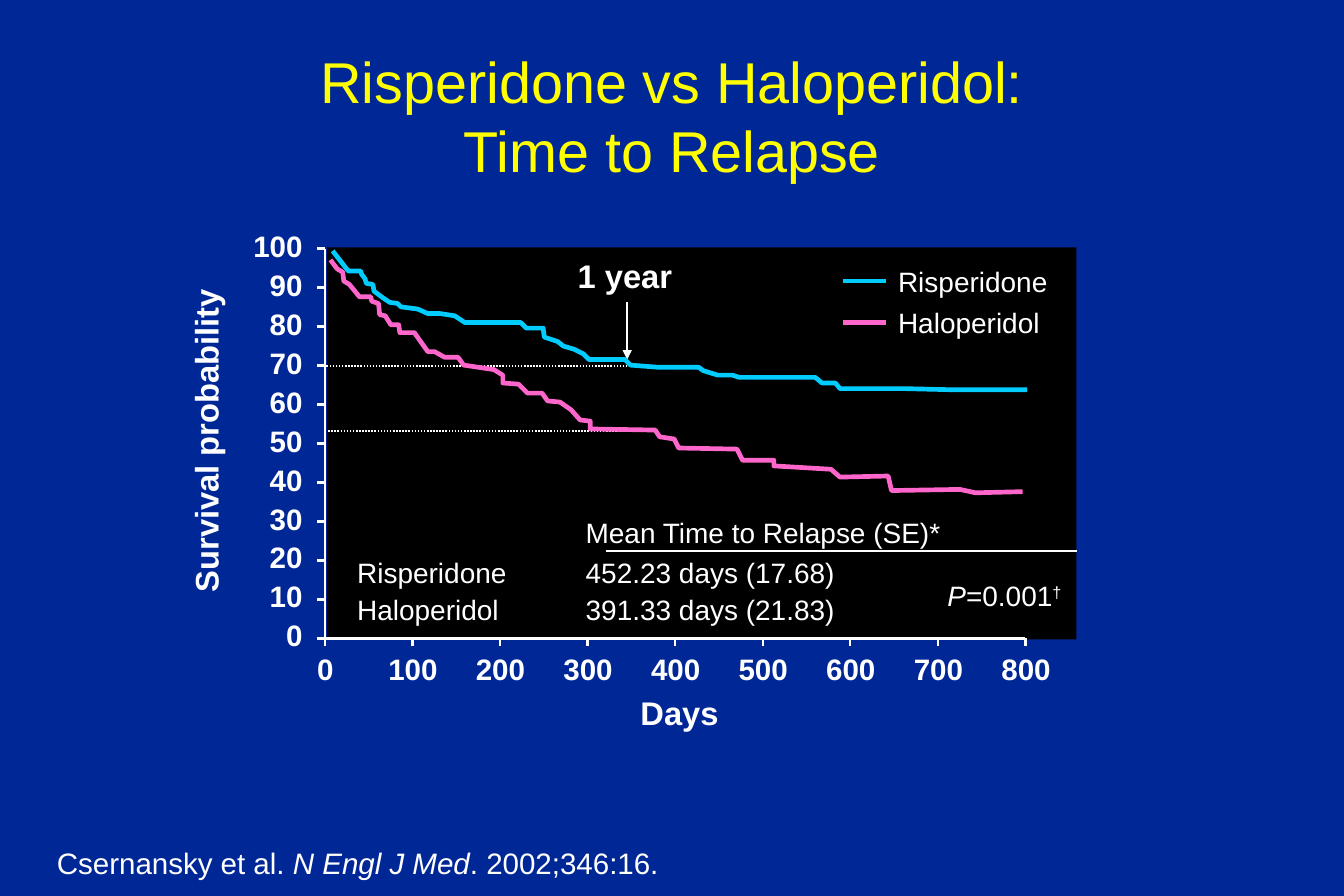
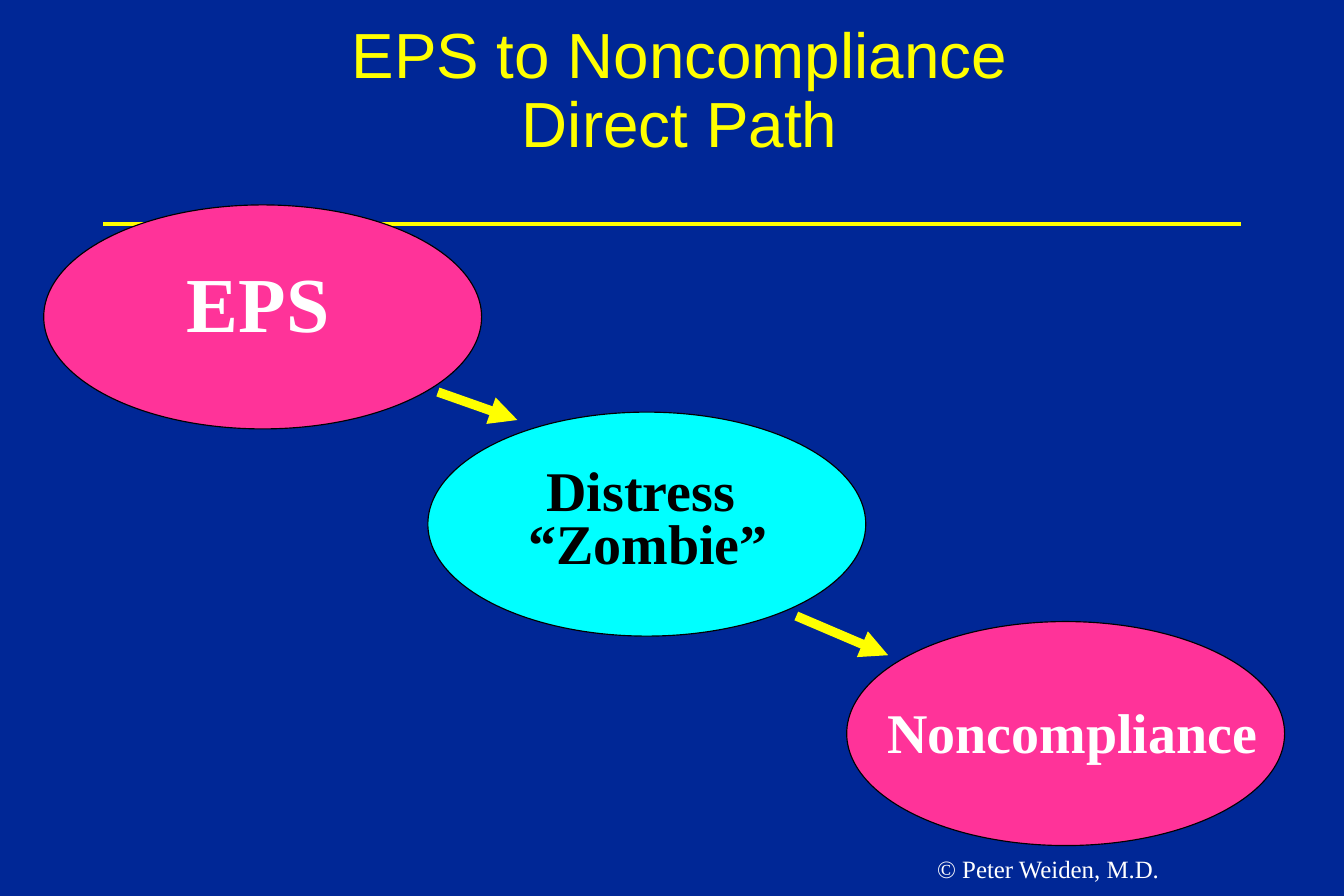
from lxml.etree import SubElement
from pptx import Presentation
from pptx.dml.color import RGBColor as RGB
from pptx.enum.dml import MSO_LINE
from pptx.enum.shapes import MSO_CONNECTOR, MSO_SHAPE
from pptx.enum.text import MSO_ANCHOR as ANCHOR, PP_ALIGN as ALIGN
from pptx.oxml.ns import qn
from pptx.util import Inches, Pt


class Theme:
    navy, black, white = (RGB.from_string(h) for h in ("002796", "000000", "FFFFFF"))
    yellow, pink, cyan = (RGB.from_string(h) for h in ("FFFF00", "FF3399", "00FFFF"))
    blue_curve, pink_curve = RGB.from_string("00CCFF"), RGB.from_string("FF66CC")
    sans, serif = "Arial", "Times New Roman"
    title, wide_title, axis, tick, body = 37, 41, 21, 19, 18
    big, node, credit = 50, 36, 16


prs = Presentation()
prs.slide_width, prs.slide_height = Inches(12), Inches(8)
COL, ROW = prs.slide_width // 12, prs.slide_height // 8
BLANK = prs.slide_layouts[6]
bg = prs.slide_master.background.fill
bg.solid()
bg.fore_color.rgb = Theme.navy


def add_text(s, box, text, size, color=Theme.white, face=Theme.sans, bold=False,
             align=ALIGN.LEFT, spacing=1.0, anchor=ANCHOR.TOP, wrap=True, tab=None):
    x, y, w, h = box
    sp = s.shapes.add_textbox(int(x * COL), int(y * ROW), int(w * COL), int(h * ROW))
    tf = sp.text_frame
    tf.word_wrap, tf.vertical_anchor = wrap, anchor
    tf.text = text
    for p in tf.paragraphs:
        if tab:
            stops = SubElement(p._p.get_or_add_pPr(), qn("a:tabLst"))
            SubElement(stops, qn("a:tab"), pos=str(int(tab * COL)), algn="l")
        p.alignment, p.line_spacing = align, spacing
        p.font.name, p.font.size, p.font.bold = face, Pt(size), bold
        p.font.color.rgb = color
    return sp


def add_line(s, start, end, color=Theme.white, width=1.0, dash=None, arrow=False):
    (x1, y1), (x2, y2) = start, end
    c = s.shapes.add_connector(MSO_CONNECTOR.STRAIGHT, int(x1 * COL), int(y1 * ROW),
                               int(x2 * COL), int(y2 * ROW))
    c.line.color.rgb, c.line.width = color, Pt(width)
    if dash:
        c.line.dash_style = dash
    if arrow:
        SubElement(c.line._get_or_add_ln(), qn("a:tailEnd"), type="triangle")
    SubElement(c._element.spPr, qn("a:effectLst"))


s = prs.slides.add_slide(BLANK)
plot = s.shapes.add_shape(MSO_SHAPE.RECTANGLE, int(2.92 * COL), int(2.21 * ROW),
                          int(6.69 * COL), int(3.5 * ROW))
plot.shadow.inherit = False
plot.fill.solid()
plot.fill.fore_color.rgb = Theme.black
plot.line.fill.background()

add_text(s, (0, 0.36, 12, 1.33), "Risperidone vs Haloperidol:\vTime to Relapse",
         Theme.title, Theme.yellow, align=ALIGN.CENTER, anchor=ANCHOR.MIDDLE)

X0, Y0, DX, DY, TICK = 2.9, 5.7, 0.782, 0.348, 0.07
XMAX, YMAX = X0 + 8 * DX, Y0 - 10 * DY
add_line(s, (X0, YMAX), (X0, Y0 + TICK), width=1.5)
add_line(s, (X0 - TICK, Y0), (XMAX, Y0), width=1.5)
for i in range(11):
    y = Y0 - i * DY
    if i:
        add_line(s, (X0 - TICK, y), (X0, y), width=1.5)
    add_text(s, (2.16, y - 0.15, 0.64, 0.32), str(10 * i), Theme.tick, bold=True,
             align=ALIGN.RIGHT, spacing=0.7, wrap=False)
for i in range(9):
    x = X0 + i * DX
    if i:
        add_line(s, (x, Y0), (x, Y0 + TICK), width=1.5)
    add_text(s, (x - 0.51, 5.76, 1.03, 0.42), str(100 * i), Theme.tick, bold=True,
             align=ALIGN.CENTER)
add_text(s, (-0.16, 3.78, 4.1, 0.31), "Survival probability", Theme.axis, bold=True,
         align=ALIGN.CENTER, spacing=0.6).rotation = 270
add_text(s, (5.62, 6.14, 0.9, 0.45), "Days", Theme.axis, bold=True, wrap=False)

add_line(s, (5.7, 3.85), (2.93, 3.85), dash=MSO_LINE.ROUND_DOT)
add_line(s, (5.74, 3.27), (X0, 3.27), dash=MSO_LINE.ROUND_DOT)
add_line(s, (5.6, 2.7), (5.6, 3.21), arrow=True)
add_text(s, (5.01, 2.3, 1.14, 0.39), "1 year", Theme.axis, bold=True,
         align=ALIGN.CENTER, spacing=0.8, wrap=False)

risperidone = [
    (2.97, 2.24), (3.11, 2.42), (3.22, 2.42), (3.23, 2.45), (3.26, 2.49), (3.27, 2.53),
    (3.33, 2.54), (3.34, 2.6), (3.42, 2.66), (3.48, 2.7), (3.55, 2.71), (3.58, 2.74),
    (3.73, 2.76), (3.82, 2.8), (3.93, 2.8), (4.06, 2.82), (4.15, 2.88), (4.65, 2.88),
    (4.7, 2.93), (4.85, 2.93), (4.86, 3.01), (4.98, 3.05), (5.03, 3.09), (5.13, 3.12),
    (5.21, 3.16), (5.26, 3.21), (5.58, 3.21), (5.63, 3.26), (5.88, 3.28), (6.24, 3.28),
    (6.28, 3.31), (6.41, 3.35), (6.54, 3.35), (6.6, 3.37), (7.28, 3.37), (7.34, 3.42),
    (7.46, 3.42), (7.5, 3.47), (8.07, 3.47), (8.5, 3.48), (9.17, 3.48)]
haloperidol = [
    (2.95, 2.32), (3.01, 2.4), (3.06, 2.43), (3.07, 2.51), (3.12, 2.54), (3.21, 2.65),
    (3.31, 2.65), (3.32, 2.69), (3.38, 2.71), (3.39, 2.81), (3.44, 2.82), (3.49, 2.9),
    (3.56, 2.9), (3.57, 2.97), (3.7, 2.97), (3.82, 3.14), (3.88, 3.14), (3.97, 3.19),
    (4.09, 3.19), (4.14, 3.26), (4.41, 3.3), (4.49, 3.35), (4.49, 3.42), (4.63, 3.43),
    (4.71, 3.51), (4.84, 3.51), (4.89, 3.58), (5, 3.59), (5.1, 3.66), (5.18, 3.75),
    (5.27, 3.76), (5.27, 3.83), (5.85, 3.84), (5.89, 3.9), (6.02, 3.92), (6.06, 4),
    (6.58, 4.01), (6.63, 4.11), (6.91, 4.11), (6.91, 4.16), (7.42, 4.19), (7.5, 4.26),
    (7.93, 4.25), (7.96, 4.38), (8.57, 4.37), (8.71, 4.4), (9.13, 4.39)]
curves = [("Risperidone", risperidone, Theme.blue_curve),
          ("Haloperidol", haloperidol, Theme.pink_curve)]
for i, (name, points, color) in enumerate(curves):
    pts = [(int(x * COL), int(y * ROW)) for x, y in points]
    fb = s.shapes.build_freeform(*pts[0])
    fb.add_line_segments(pts[1:], close=False)
    curve = fb.convert_to_shape()
    curve.shadow.inherit = False
    curve.fill.background()
    curve.line.color.rgb, curve.line.width = color, Pt(3)
    y = 2.51 + i * 0.37
    add_line(s, (7.53, y), (7.91, y), color, 3)
    add_text(s, (7.92, y - 0.2, 1.54, 0.4), name, Theme.body, wrap=False)

results = add_text(s, (3.09, 4.55, 7.32, 1.08),
                   "\tMean Time to Relapse (SE)*\n"
                   "Risperidone\t452.23 days (17.68)\n"
                   "Haloperidol\t391.33 days (21.83)", Theme.body, tab=2.04)
for p in results.text_frame.paragraphs[1:]:
    p.line_spacing, p.space_before = 0.5, Pt(13.5)
add_line(s, (5.41, 4.92), (9.62, 4.92))

p = add_text(s, (8.36, 5.12, 1.22, 0.4), "P", Theme.body,
             wrap=False).text_frame.paragraphs[0]
p.runs[0].font.italic = True
p.add_run().text = "=0.001"
r = p.add_run()
r.text = "†"
r._r.get_or_add_rPr().set("baseline", "30000")

p = add_text(s, (0.41, 6.9, 11.27, 1.01), "Csernansky et al. ", Theme.tick,
             spacing=0.8, anchor=ANCHOR.BOTTOM).text_frame.paragraphs[0]
r = p.add_run()
r.text, r.font.italic = "N Engl J Med", True
p.add_run().text = ". 2002;346:16."

s = prs.slides.add_slide(BLANK)
add_line(s, (0.92, 2), (11.08, 2), Theme.yellow, 3)
nodes = [
    ((0.39, 1.83), Theme.pink, (1.41, 2.39, 1.79, 0.78), "EPS", Theme.big, Theme.white),
    ((3.82, 3.68), Theme.cyan, (4.31, 4.13, 2.95, 1.07), "Distress \v“Zombie”",
     Theme.node, Theme.black),
    ((7.56, 5.55), Theme.pink, (7.81, 6.29, 3.53, 0.59), "Noncompliance",
     Theme.node, Theme.white)]
for (x, y), fill, box, label, size, color in nodes:
    sp = s.shapes.add_shape(MSO_SHAPE.OVAL, int(x * COL), int(y * ROW),
                            int(3.91 * COL), 2 * ROW)
    sp.shadow.inherit = False
    sp.fill.solid()
    sp.fill.fore_color.rgb = fill
    sp.line.color.rgb, sp.line.width = Theme.black, Pt(0.75)
    add_text(s, box, label, size, color, Theme.serif, True, ALIGN.CENTER, 0.8, wrap=False)

add_text(s, (0.52, 0.16, 11.1, 1.51), "EPS to Noncompliance\vDirect Path",
         Theme.wide_title, Theme.yellow, align=ALIGN.CENTER, spacing=0.9)
for start, end in [((3.91, 3.5), (4.62, 3.75)), ((7.11, 5.5), (7.93, 5.85))]:
    add_line(s, start, end, Theme.yellow, 6, arrow=True)
add_text(s, (8.27, 7.57, 3.73, 0.37), "© Peter Weiden, M.D.", Theme.credit,
         face=Theme.serif)

prs.save("out.pptx")
